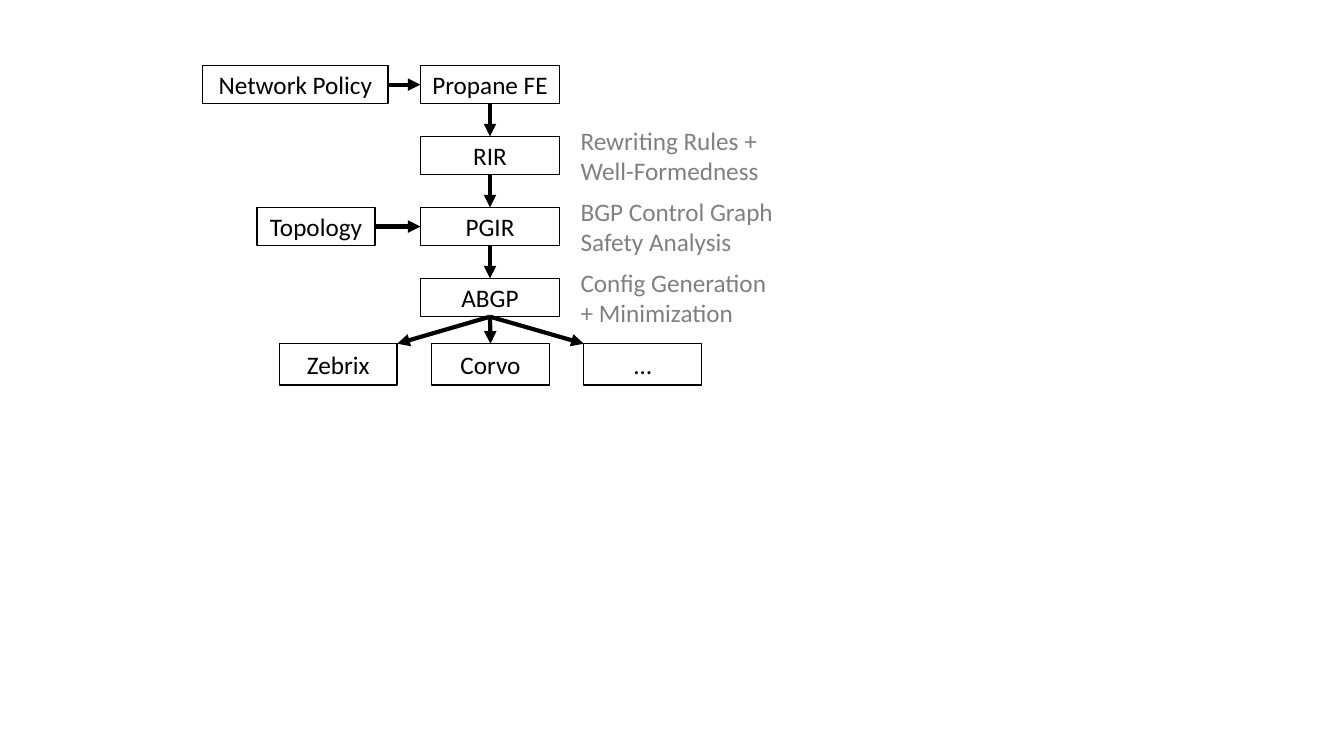
"""Build a slide showing the stages of a network policy compiler."""
import lxml.etree
import pptx
import pptx.dml.color
import pptx.enum.shapes
import pptx.enum.text
import pptx.oxml.ns
import pptx.util

STAGES = ["Propane FE", "RIR", "PGIR", "ABGP"]
INPUTS = [("Network Policy", 2.01, 1.84, "Propane FE"), ("Topology", 2.55, 1.17, "PGIR")]
TARGETS = ["Zebrix", "Corvo", "…"]
NOTES = [
    (["Rewriting Rules +", "Well-Formedness"], 2.08),
    (["BGP Control Graph", "Safety Analysis"], 2.19),
    (["Config Generation", "+ Minimization"], 2.13),
]
THEME = {"font": "Calibri", "size": 18, "ink": "000000", "paper": "FFFFFF",
         "note": "808080", "border": 1, "arrow": 3}

STAGE_X, STAGE_Y, STAGE_W, STAGE_H, STAGE_STEP = 4.17, 0.65, 1.38, 0.38, 0.704
TARGET_X, TARGET_Y, TARGET_W, TARGET_H, TARGET_STEP = 2.77, 3.41, 1.17, 0.41, 1.51
NOTE_X, NOTE_Y, NOTE_H = 5.66, 1.19, 0.71
TOP, LEFT, BOTTOM, RIGHT = range(4)

Inches = pptx.util.Inches


def rgb(name):
    """Return a theme colour."""
    return pptx.dml.color.RGBColor.from_string(THEME[name])


def write(s, lines, color="ink", align="CENTER", anchor="MIDDLE", wrap=True):
    """Fill a shape with formatted paragraphs."""
    tf = s.text_frame
    tf.word_wrap = wrap
    tf.vertical_anchor = pptx.enum.text.MSO_ANCHOR[anchor]
    for i, line in enumerate(lines):
        p = tf.add_paragraph() if i else tf.paragraphs[0]
        p.alignment = pptx.enum.text.PP_ALIGN[align]
        r = p.add_run()
        r.text = line
        r.font.name = THEME["font"]
        r.font.size = pptx.util.Pt(THEME["size"])
        r.font.color.rgb = rgb(color)


def add_box(sp, text, x, y, w, h):
    """Add a bordered box with a centred label."""
    s = sp.add_shape(pptx.enum.shapes.MSO_SHAPE.RECTANGLE, *map(Inches, (x, y, w, h)))
    s.shadow.inherit = False
    s.fill.solid()
    s.fill.fore_color.rgb = rgb("paper")
    s.line.color.rgb = rgb("ink")
    s.line.width = pptx.util.Pt(THEME["border"])
    write(s, [text])
    return s


def add_arrow(sp, source, source_site, target, target_site=None, corner_x=0):
    """Add an arrow to a connection site, or to the target's top edge at corner_x."""
    c = sp.add_connector(pptx.enum.shapes.MSO_CONNECTOR.STRAIGHT, 0, 0, corner_x, target.top)
    c.begin_connect(source, source_site)
    if target_site is not None:
        c.end_connect(target, target_site)
    c.line.color.rgb = rgb("ink")
    c.line.width = pptx.util.Pt(THEME["arrow"])
    qn = pptx.oxml.ns.qn
    lxml.etree.SubElement(c.line._get_or_add_ln(), qn("a:tailEnd"), type="triangle")
    lxml.etree.SubElement(c._element.spPr, qn("a:effectLst"))


def main():
    """Lay out the diagram and save the deck."""
    prs = pptx.Presentation()
    prs.slide_width, prs.slide_height = Inches(13.33), Inches(7.5)
    sp = prs.slides.add_slide(prs.slide_layouts[6]).shapes

    stages = {}
    for i, name in enumerate(STAGES):
        stages[name] = add_box(sp, name, STAGE_X, STAGE_Y + i * STAGE_STEP, STAGE_W, STAGE_H)
    chain = list(stages.values())
    for upper, lower in zip(chain, chain[1:]):
        add_arrow(sp, upper, BOTTOM, lower, TOP)

    for name, x, w, stage in INPUTS:
        y = STAGE_Y + STAGES.index(stage) * STAGE_STEP
        add_arrow(sp, add_box(sp, name, x, y, w, STAGE_H), RIGHT, stages[stage], LEFT)

    left, middle, right = [
        add_box(sp, name, TARGET_X + i * TARGET_STEP, TARGET_Y, TARGET_W, TARGET_H)
        for i, name in enumerate(TARGETS)
    ]
    add_arrow(sp, chain[-1], BOTTOM, left, corner_x=left.left + left.width)
    add_arrow(sp, chain[-1], BOTTOM, middle, TOP)
    add_arrow(sp, chain[-1], BOTTOM, right, corner_x=right.left)

    for i, (lines, w) in enumerate(NOTES):
        s = sp.add_textbox(*map(Inches, (NOTE_X, NOTE_Y + i * STAGE_STEP, w, NOTE_H)))
        write(s, lines, color="note", align="LEFT", anchor="TOP", wrap=False)

    prs.save("out.pptx")


if __name__ == "__main__":
    main()
